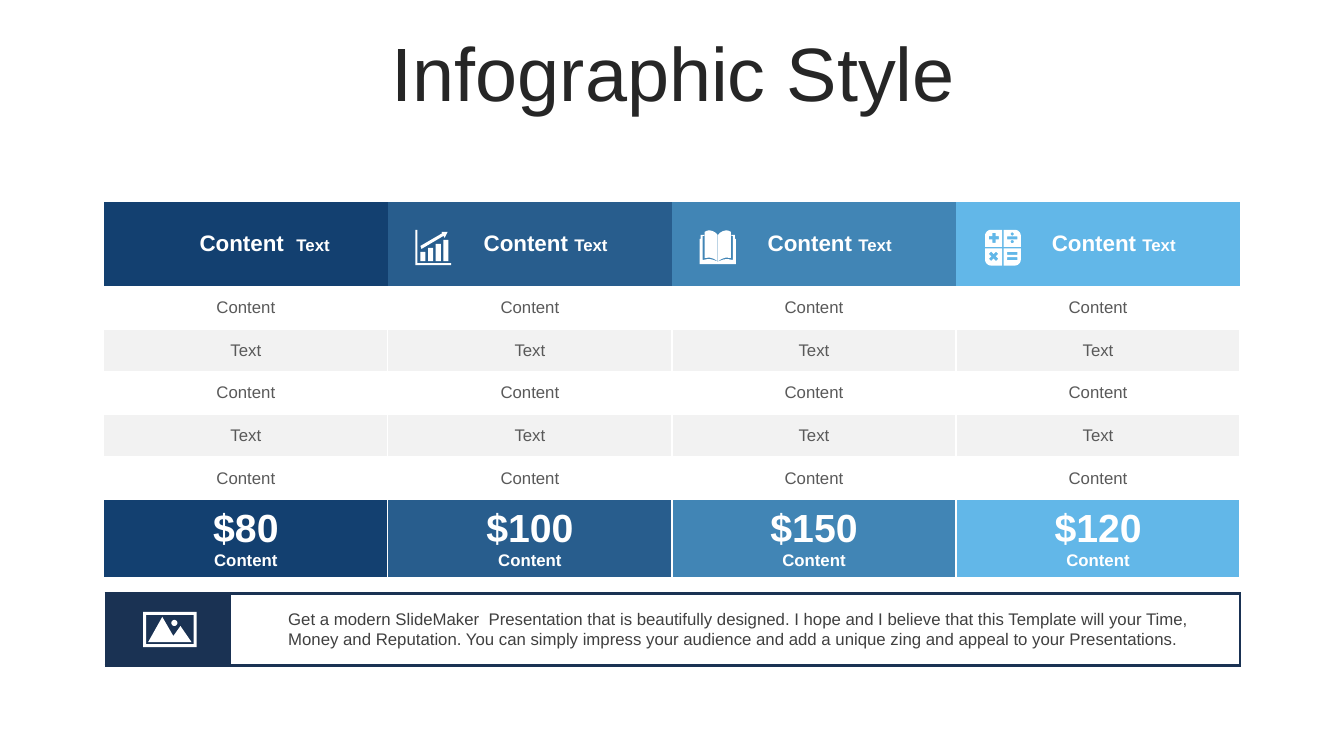
from math import cos, radians, sin

from lxml.etree import SubElement
from pptx import Presentation
from pptx.dml.color import RGBColor
from pptx.enum.text import MSO_ANCHOR, PP_ALIGN
from pptx.oxml.ns import qn
from pptx.util import Inches, Pt

WHITE = RGBColor(0xFF, 0xFF, 0xFF)
STRIPE = RGBColor(0xF2, 0xF2, 0xF2)
TITLE_INK = RGBColor(0x26, 0x26, 0x26)
CELL_INK = RGBColor(0x59, 0x59, 0x59)
NOTE_INK = RGBColor(0x40, 0x40, 0x40)
NAVY = RGBColor(0x1A, 0x32, 0x53)
BLUES = [RGBColor(0x13, 0x40, 0x70), RGBColor(0x28, 0x5D, 0x8D),
         RGBColor(0x41, 0x85, 0xB5), RGBColor(0x62, 0xB7, 0xE8)]

TITLE = "Infographic Style"
HEADS = ["Content  ", "Content ", "Content ", "Content "]
HEAD_TAG = "Text"
ROWS = ["Content", "Text", "Content", "Text", "Content"]
PRICES = ["$80", "$100", "$150", "$120"]
PRICE_TAG = "Content"
NOTE = ("Get a modern SlideMaker  Presentation that is beautifully designed. "
        "I hope and I believe that this Template will your Time, Money and Reputation. "
        "You can simply impress your audience and add a unique zing and appeal to your Presentations.")

LEFT, TOP, WIDTH, HEIGHT = 1.03, 2, 11.27, 3.73
ICON_COL = 0.85
PLAN_COL = WIDTH / len(HEADS)
HEAD_ROW, PRICE_ROW = 0.84, 0.77
BODY_ROW = (HEIGHT - HEAD_ROW - PRICE_ROW) / len(ROWS)
ICON_Y = 2.28


def write(p, text, size=12, color=WHITE, bold=False, align=None):
    r = p.add_run()
    r.text = text
    r.font.name = "Arial"
    r.font.size = Pt(size)
    r.font.bold = bold
    r.font.color.rgb = color
    if align is not None:
        p.alignment = align


def text_box(s, x, y, w, h, anchor):
    tf = s.shapes.add_textbox(Inches(x), Inches(y), Inches(w), Inches(h)).text_frame
    tf.word_wrap = True
    tf.vertical_anchor = anchor
    return tf.paragraphs[0]


def paint(cell, color, line=None, width=1.0, sides="LRTB"):
    cell.vertical_anchor = MSO_ANCHOR.MIDDLE
    cell.fill.solid()
    cell.fill.fore_color.rgb = color
    tc_pr = cell._tc.get_or_add_tcPr()
    for i, side in enumerate("LRTB"):
        ln = SubElement(tc_pr, qn("a:ln" + side), w=str(Pt(width)))
        if line is not None and side in sides:
            SubElement(SubElement(ln, qn("a:solidFill")), qn("a:srgbClr"), val=str(line))
        else:
            SubElement(ln, qn("a:noFill"))
        tc_pr.insert(i, ln)


def grid(s, x, y, cols, rows):
    table = s.shapes.add_table(len(rows), len(cols), Inches(x), Inches(y),
                               Inches(sum(cols)), Inches(sum(rows))).table
    table.first_row = table.horz_banding = False
    for col, w in zip(table.columns, cols):
        col.width = Inches(w)
    for row, h in zip(table.rows, rows):
        row.height = Inches(h)
    return table


def rect(x1, y1, x2, y2):
    return [(x1, y1), (x2, y1), (x2, y2), (x1, y2)]


def arc(x, y, radius, start=0, end=345):
    return [(x + radius * cos(radians(a)), y + radius * sin(radians(a)))
            for a in range(start, end + 1, 15)]


def cross(x, y, angle, arm=5, half=1.6):
    c, n = cos(radians(angle)), sin(radians(angle))
    pts = []
    for dx, dy in [(1, 0), (0, 1), (-1, 0), (0, -1)]:
        for u, v in [(arm, -half), (arm, half), (half, half)]:
            px, py = u * dx - v * dy, u * dy + v * dx
            pts.append((x + px * c - py * n, y + px * n + py * c))
    return pts


def flip(pts, w=0, h=0):
    return [(w - x if w else x, h - y if h else y) for x, y in pts]


def growth_icon():
    bars = [rect(5 + 7.6 * i, 22 - 4 * i, 10 + 7.6 * i, 31) for i in range(4)]
    arrow = [(26, 2), (32, 2), (29, 8), (28, 6), (6, 19), (5, 16), (26.5, 3.5)]
    axes = [(0, 0), (2, 0), (2, 33), (35.5, 33), (35.5, 35), (0, 35)]
    return bars + [arrow, axes]


def book_icon():
    page = [(5, 28), (5, 2), (7.5, 0.8), (10, 0.5), (13, 1.3), (16, 3),
            (17.7, 5), (17.7, 31), (14, 28.8), (10, 27.5)]
    cover = [(0, 9), (1, 9), (1, 5), (4.5, 5), (4.5, 6), (3, 6), (3, 30),
             (8, 29), (12, 29.3), (18, 31.5), (18, 34), (0, 34)]
    return [page, cover, flip(page, 36), flip(cover, 36)]


def keypad_icon():
    key = arc(6, 6, 6, 180, 270) + [(17, 0), (17, 17), (0, 17)]
    keys = [flip(key, w, h) for w in (0, 35.5) for h in (0, 35.5)]
    bars = [rect(22, y, 32, y + 3) for y in (6.5, 22, 27)]
    dots = [arc(27, y, 1.6) for y in (4.2, 11.8)]
    return keys + bars + dots + [cross(8.8, 8, 0), cross(8.5, 26.3, 45)]


def photo_icon():
    peaks = [(19, 5), (30, 24), (37, 14), (48, 30), (5, 30)]
    return [rect(0, 0, 53, 35), rect(3, 3, 50, 32), peaks, arc(31, 11, 3)]


def icon(s, x, y, contours):
    contours = [[(px * 10, py * 10) for px, py in pts] for pts in contours]
    fb = s.shapes.build_freeform(*contours[0][0], scale=914.4)
    for i, pts in enumerate(contours):
        if i:
            fb.move_to(*pts[0])
        fb.add_line_segments(pts[1:], close=True)
    sp = fb.convert_to_shape(Inches(x), Inches(y))
    sp.shadow.inherit = False
    sp.fill.solid()
    sp.fill.fore_color.rgb = WHITE
    sp.line.fill.background()


def plan_table(s):
    rows = [HEAD_ROW] + [BODY_ROW] * len(ROWS) + [PRICE_ROW]
    table = grid(s, LEFT, TOP, [ICON_COL, PLAN_COL - ICON_COL] * len(HEADS), rows)
    last = len(rows) - 1
    for i, (head, price, blue) in enumerate(zip(HEADS, PRICES, BLUES)):
        a, b = 2 * i, 2 * i + 1
        paint(table.cell(0, a), blue)
        paint(table.cell(0, b), blue)
        p = table.cell(0, b).text_frame.paragraphs[0]
        write(p, head, size=16, bold=True)
        write(p, HEAD_TAG, bold=True)
        for j in range(1, last + 1):
            fill = blue if j == last else WHITE if j % 2 else STRIPE
            for k in (a, b):
                paint(table.cell(j, k), fill, WHITE, sides="LRB" if j == 1 else "LRTB")
            table.cell(j, a).merge(table.cell(j, b))
            tf = table.cell(j, a).text_frame
            if j < last:
                write(tf.paragraphs[0], ROWS[j - 1], color=CELL_INK, align=PP_ALIGN.CENTER)
            else:
                write(tf.paragraphs[0], price, size=28, bold=True, align=PP_ALIGN.CENTER)
                write(tf.add_paragraph(), PRICE_TAG, bold=True, align=PP_ALIGN.CENTER)


def main():
    prs = Presentation()
    prs.slide_width, prs.slide_height = Inches(13.33), Inches(7.5)
    s = prs.slides.add_slide(prs.slide_layouts[6])
    p = text_box(s, 0.35, 0.37, 12.66, 0.79, MSO_ANCHOR.MIDDLE)
    p.line_spacing = 0.9
    p.space_before = Pt(10)
    write(p, TITLE, size=54, color=TITLE_INK, align=PP_ALIGN.CENTER)
    plan_table(s)
    note = grid(s, 1.05, 5.89, [1.23, 10.02], [0.71])
    for k, fill in enumerate((NAVY, WHITE)):
        paint(note.cell(0, k), fill, NAVY, width=2.25)
    write(text_box(s, 2.76, 5.99, 9.29, 0.5, MSO_ANCHOR.TOP), NOTE, color=NOTE_INK)
    for x, contours in [(4.12, growth_icon()), (6.94, book_icon()), (9.77, keypad_icon())]:
        icon(s, x, ICON_Y, contours)
    icon(s, 1.42, 6.07, photo_icon())
    prs.save("out.pptx")


if __name__ == "__main__":
    main()
